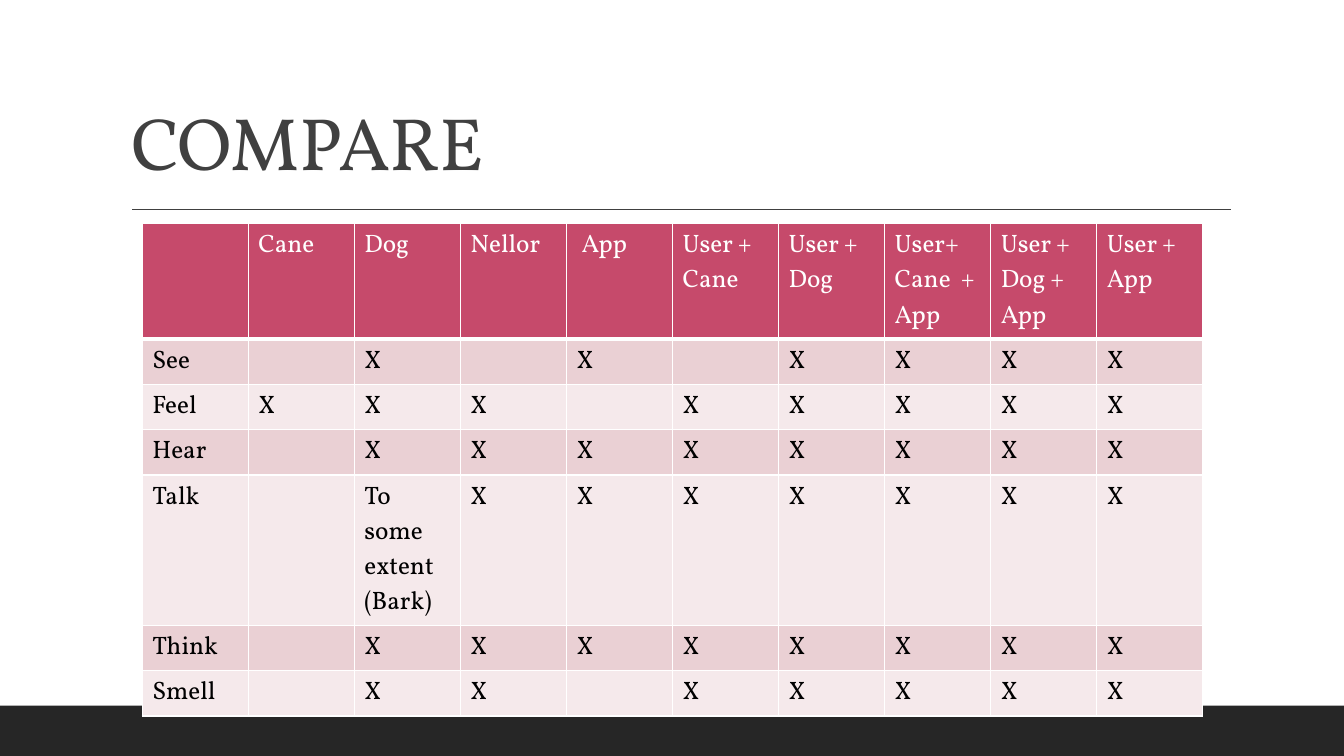
from lxml import etree
from pptx import Presentation
from pptx import util as u
from pptx.dml.color import RGBColor
from pptx.enum import shapes, text
from pptx.oxml.ns import qn

DARK, GREY, WHITE, BLACK = "262626", "404040", "FFFFFF", "000000"
ROSE, BANDS = "C64A6B", ("EAD0D4", "F5E9EB")


def rgb(color):
    return RGBColor.from_string(color)


class Deck:
    """Style and current slide; lengths are percentages of the slide's size."""
    font = "Vollkorn"

    def __init__(self):
        self.prs = Presentation()
        self.prs.slide_width, self.prs.slide_height = u.Inches(13.33), u.Inches(7.5)
        self.s = self.prs.slides.add_slide(self.prs.slide_layouts[5])

    def x(self, share):
        return u.Emu(round(self.prs.slide_width * share / 100))

    def y(self, share):
        return u.Emu(round(self.prs.slide_height * share / 100))

    def box(self, x, y, w, h):
        return self.x(x), self.y(y), self.x(w), self.y(h)

    def run(self, p, words, size, color):
        r = p.add_run()
        r.text = words
        r.font.name, r.font.size = self.font, u.Pt(size)
        r.font.color.rgb = rgb(color)
        return r

    def title(self, words, *box):
        sp = self.s.shapes.title
        sp.left, sp.top, sp.width, sp.height = self.box(*box)
        tf = sp.text_frame
        tf.auto_size, tf.word_wrap = text.MSO_AUTO_SIZE.NONE, True
        tf.vertical_anchor = text.MSO_ANCHOR.BOTTOM
        p = tf.paragraphs[0]
        p.alignment, p.line_spacing = text.PP_ALIGN.LEFT, 0.9
        r = self.run(p, words, 53, GREY)
        r._r.get_or_add_rPr().set("spc", "-50")

    def bar(self, color, *box):
        sp = self.s.shapes.add_shape(shapes.MSO_SHAPE.RECTANGLE, *self.box(*box))
        sp.shadow.inherit = False
        sp.fill.solid()
        sp.fill.fore_color.rgb = rgb(color)
        sp.line.fill.background()

    def rule(self, color, x1, x2, y):
        line = self.s.shapes.add_connector(
            shapes.MSO_CONNECTOR.STRAIGHT, self.x(x1), self.y(y), self.x(x2), self.y(y))
        line.line.color.rgb, line.line.width = rgb(color), u.Pt(1)
        etree.SubElement(line._element.spPr, qn("a:effectLst"))

    def borders(self, cell, color, bottom):
        tcPr = cell._tc.get_or_add_tcPr()
        for i, side in enumerate("LRTB"):
            width = bottom if side == "B" else 1
            ln = etree.Element(qn(f"a:ln{side}"), w=str(u.Pt(width)))
            fill = etree.SubElement(ln, qn("a:solidFill"))
            etree.SubElement(fill, qn("a:srgbClr"), val=color)
            tcPr.insert(i, ln)

    def table(self, rows, heights, *box):
        tbl = self.s.shapes.add_table(len(rows), len(rows[0]), *self.box(*box)).table
        for col in tbl.columns:
            col.width = self.x(box[2] / len(rows[0]))
        for i, words in enumerate(rows):
            tbl.rows[i].height = self.y(heights[i])
            for j, word in enumerate(words):
                cell = tbl.cell(i, j)
                cell.fill.solid()
                cell.fill.fore_color.rgb = rgb(BANDS[(i - 1) % 2] if i else ROSE)
                self.borders(cell, WHITE, 1 if i else 3)
                p = cell.text_frame.paragraphs[0]
                if word:
                    self.run(p, word, 18, BLACK if i else WHITE)
                else:
                    p.font.size = u.Pt(18)


deck = Deck()

# Footer band, title and rule
deck.bar(DARK, 0, 93.33, 100, 6.67)
deck.rule(GREY, 9.83, 91.6, 27.73)
deck.title("COMPARE", 9, 4.13, 82.52, 21.2)

# Comparison table: one mark per aid, "-" for none
header = ["", "Cane ", "Dog", "Nellor", " App", "User + Cane", "User + Dog",
          "User+ Cane  + App", "User + Dog + App", "User + App"]
marks = {"See": "-X-X-XXXX", "Feel": "XXX-XXXXX", "Hear": "-XXXXXXXX",
         "Talk": "-BXXXXXXX", "Think": "-XXXXXXXX", "Smell": "-XX-XXXXX"}
wording = {"-": "", "X": "X", "B": "To some extent (Bark)"}
rows = [header] + [[sense] + [wording[m] for m in line] for sense, line in marks.items()]
tall, low = 14.13, 5.68
heights = [tall if row[0] in ("", "Talk") else low for row in rows]
deck.table(rows, heights, 10.58, 29.6, 78.92, sum(heights))

deck.prs.save("out.pptx")
